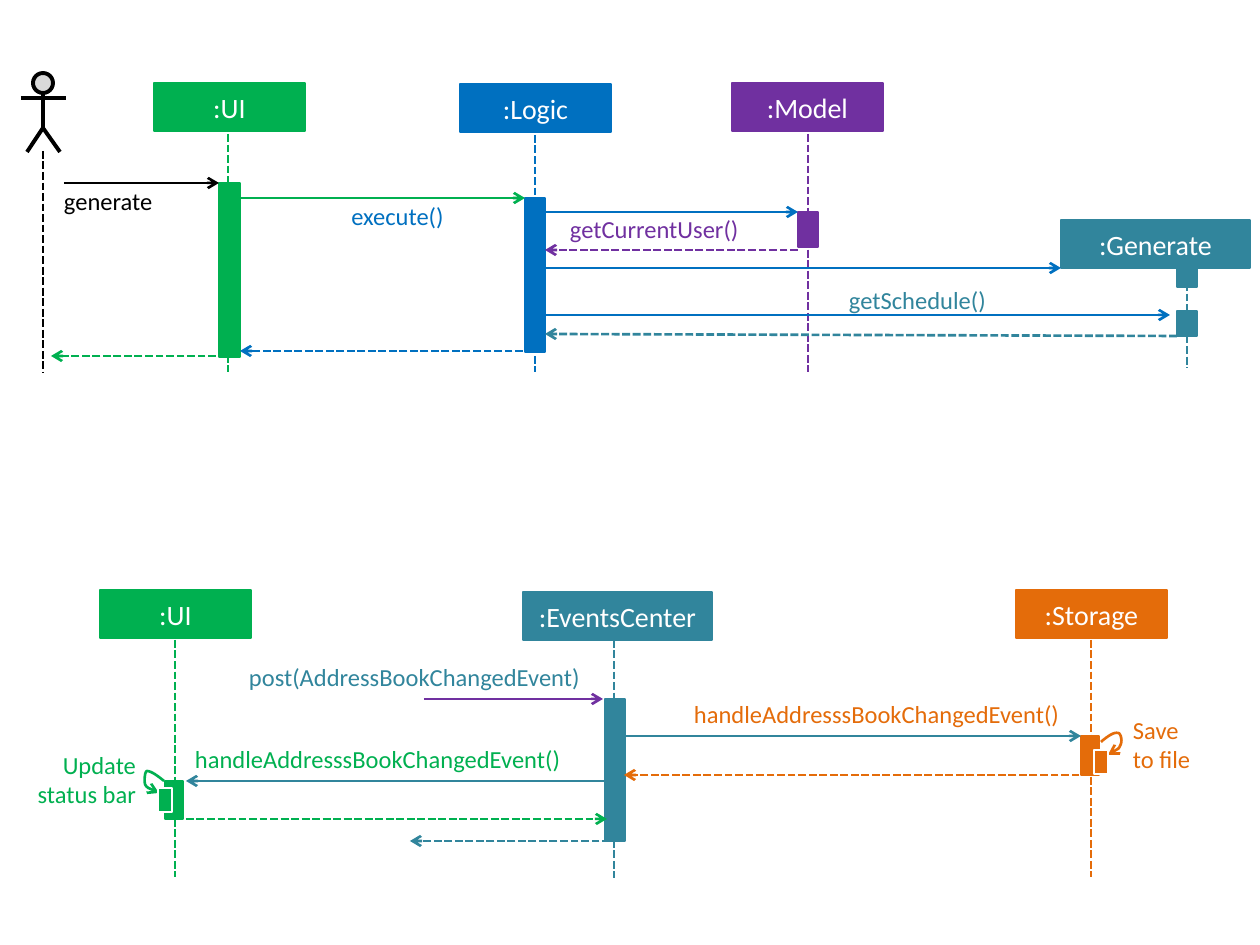
from pptx import Presentation
from pptx.dml.color import RGBColor
from pptx.enum.dml import MSO_LINE
from pptx.enum.shapes import MSO_CONNECTOR, MSO_SHAPE
from pptx.enum.text import MSO_ANCHOR, MSO_AUTO_SIZE, PP_ALIGN
from pptx.oxml.ns import qn
from pptx.util import Pt
from lxml.etree import SubElement

PIXEL = 914400 // 126
FONT = "Calibri"
HEAD_HEIGHT = 48
COLORS = {
    "black": "000000", "white": "FFFFFF", "gray": "D9D9D9", "green": "00B050",
    "blue": "0070C0", "purple": "7030A0", "teal": "31859C", "orange": "E46C0A",
}
LEFT, CENTER, RIGHT = PP_ALIGN.LEFT, PP_ALIGN.CENTER, PP_ALIGN.RIGHT

# x, top, bottom, color
LIFELINES = [
    (43, 151, 372, "black"), (228, 134, 372, "green"), (535, 135, 372, "blue"),
    (808, 134, 372, "purple"), (1187, 262, 368, "teal"), (175, 640, 877, "green"),
    (614, 640, 878, "teal"), (1091, 640, 877, "orange"),
]
# text, left, top, width, color
PARTICIPANTS = [
    (":UI", 154, 83, 151, "green"), (":Logic", 460, 84, 151, "blue"),
    (":Model", 732, 83, 151, "purple"), (":Generate", 1061, 220, 189, "teal"),
    (":UI", 100, 590, 151, "green"), (":EventsCenter", 523, 592, 189, "teal"),
    (":Storage", 1016, 590, 151, "orange"),
]
# left, top, width, height, color
ACTIVATIONS = [
    (219, 183, 21, 174, "green"), (525, 198, 20, 154, "blue"),
    (798, 212, 20, 35, "purple"), (1177, 262, 20, 25, "teal"),
    (1177, 311, 20, 25, "teal"), (1081, 736, 18, 39, "orange"),
    (605, 699, 20, 142, "teal"), (165, 781, 18, 38, "green"),
]
# start x, start y, tip x, tip y, color
CALLS = [
    (64, 183, 219, 183, "black"), (240, 198, 525, 198, "green"),
    (545, 212, 798, 212, "blue"), (538, 268, 1061, 268, "blue"),
    (535, 315, 1170, 315, "blue"), (424, 699, 603, 699, "purple"),
    (624, 736, 1081, 736, "teal"), (607, 781, 186, 781, "teal"),
]
RETURNS = [
    (798, 250, 545, 250, "purple"), (523, 351, 240, 351, "blue"),
    (216, 356, 51, 356, "green"), (1177, 336, 545, 334, "teal"),
    (1090, 775, 624, 775, "orange"), (610, 841, 410, 841, "teal"),
    (186, 819, 607, 819, "green"),
]
# text, left, top, width, height, alignment, color
LABELS = [
    ("generate", 64, 186, 118, 30, LEFT, "black"),
    ("execute()", 299, 201, 197, 30, CENTER, "blue"),
    ("getCurrentUser()", 570, 214, 197, 30, LEFT, "purple"),
    ("getSchedule()", 849, 285, 149, 30, LEFT, "teal"),
    ("post(AddressBookChangedEvent)", 249, 662, 374, 30, LEFT, "teal"),
    ("handleAddresssBookChangedEvent()", 694, 699, 367, 30, LEFT, "orange"),
    ("handleAddresssBookChangedEvent()", 195, 744, 367, 30, LEFT, "green"),
    ("Update status bar", 26, 750, 110, 59, RIGHT, "green"),
    ("Save \vto file", 1133, 715, 74, 59, LEFT, "orange"),
]
# Bezier points from the start to the arrow tip, nested bar, color
SELF_CALLS = [
    ([(164, 781), (158, 776), (151, 771), (147, 771), (145, 771), (144, 780),
      (145, 784), (146, 788), (152, 790), (159, 793)], (158, 788, 14, 24), "green"),
    ([(1101, 742), (1108, 736), (1114, 732), (1118, 733), (1121, 733), (1123, 742),
      (1120, 746), (1119, 750), (1113, 752), (1108, 755)], (1094, 750, 14, 24), "orange"),
]


def rgb(name):
    """Look up a color by name."""
    return RGBColor.from_string(COLORS[name])


def style_line(shape, color, width, dashed=False, arrow=False):
    """Set the outline, with an optional arrowhead at its end."""
    shape.line.color.rgb = rgb(color)
    shape.line.width = Pt(width)
    if dashed:
        shape.line.dash_style = MSO_LINE.SQUARE_DOT
    if arrow:
        SubElement(shape.line._get_or_add_ln(), qn("a:tailEnd"), type="arrow")


def add_line(shapes, x1, y1, x2, y2, color, width=1.5, **options):
    """Draw a straight line without a shadow."""
    ends = [value * PIXEL for value in (x1, y1, x2, y2)]
    line = shapes.add_connector(MSO_CONNECTOR.STRAIGHT, *ends)
    style_line(line, color, width, **options)
    SubElement(line._element.spPr, qn("a:effectLst"))


def add_box(shapes, left, top, width, height, fill, line, weight, kind=MSO_SHAPE.RECTANGLE):
    """Draw a filled preset shape."""
    frame = [value * PIXEL for value in (left, top, width, height)]
    box = shapes.add_shape(kind, *frame)
    box.shadow.inherit = False
    box.fill.solid()
    box.fill.fore_color.rgb = rgb(fill)
    style_line(box, line, weight)
    return box


def add_path(shapes, points, color, width, arrow=False):
    """Draw an open outline through the points."""
    start, *others = [(round(x * PIXEL), round(y * PIXEL)) for x, y in points]
    builder = shapes.build_freeform(*start)
    builder.add_line_segments(others, close=False)
    outline = builder.convert_to_shape()
    outline.shadow.inherit = False
    outline.fill.background()
    style_line(outline, color, width, arrow=arrow)


def write(box, text, size, color, alignment):
    """Put formatted text in a box."""
    box.text_frame.text = text
    for paragraph in box.text_frame.paragraphs:
        paragraph.alignment = alignment
        for span in paragraph.runs:
            span.font.name = FONT
            span.font.size = Pt(size)
            span.font.color.rgb = rgb(color)


def add_label(shapes, text, left, top, width, height, alignment, color):
    """Write a message label without margins."""
    box = shapes.add_textbox(*[value * PIXEL for value in (left, top, width, height)])
    frame = box.text_frame
    frame.word_wrap = True
    frame.auto_size = MSO_AUTO_SIZE.SHAPE_TO_FIT_TEXT
    frame.margin_left = frame.margin_right = frame.margin_top = frame.margin_bottom = 0
    write(box, text, 14, color, alignment)


def add_actor(shapes):
    """Draw the stick figure as one group."""
    actor = shapes.add_group_shape().shapes
    add_box(actor, 33, 73, 20, 20, "gray", "black", 2.25, MSO_SHAPE.FLOWCHART_CONNECTOR)
    add_line(actor, 43, 93, 43, 128, "black", 2.25)
    add_line(actor, 21, 98, 66, 98, "black", 2.25)
    add_path(actor, [(27, 152), (43, 128), (60, 152)], "black", 2.25)


def bezier(points, steps=8):
    """Sample a chain of cubic curves."""
    samples = [points[0]]
    for first in range(0, len(points) - 1, 3):
        a, b, c, d = points[first:first + 4]
        for step in range(1, steps + 1):
            t = step / steps
            weights = ((1 - t) ** 3, 3 * t * (1 - t) ** 2, 3 * t * t * (1 - t), t ** 3)
            samples.append(tuple(sum(w * p[axis] for w, p in zip(weights, (a, b, c, d)))
                                 for axis in (0, 1)))
    return samples


deck = Presentation()
deck.slide_width, deck.slide_height = 1260 * PIXEL, 945 * PIXEL
page = deck.slides.add_slide(deck.slide_layouts[6])
shapes = page.shapes

add_actor(shapes)
for x, top, bottom, color in LIFELINES:
    add_line(shapes, x, top, x, bottom, color, dashed=True)
for text, left, top, width, color in PARTICIPANTS:
    head = add_box(shapes, left, top, width, HEAD_HEIGHT, color, color, 1.5)
    head.text_frame.vertical_anchor = MSO_ANCHOR.MIDDLE
    write(head, text, 16, "white", CENTER)
for *frame, color in ACTIVATIONS:
    add_box(shapes, *frame, color, color, 0.75)
for call in CALLS:
    add_line(shapes, *call, arrow=True)
for reply in RETURNS:
    add_line(shapes, *reply, dashed=True, arrow=True)
for points, nested, color in SELF_CALLS:
    loop = shapes.add_group_shape().shapes
    add_path(loop, bezier(points), color, 1.5, arrow=True)
    add_box(loop, *nested, color, "white", 0.75)
for label in LABELS:
    add_label(shapes, *label)

deck.save("out.pptx")
